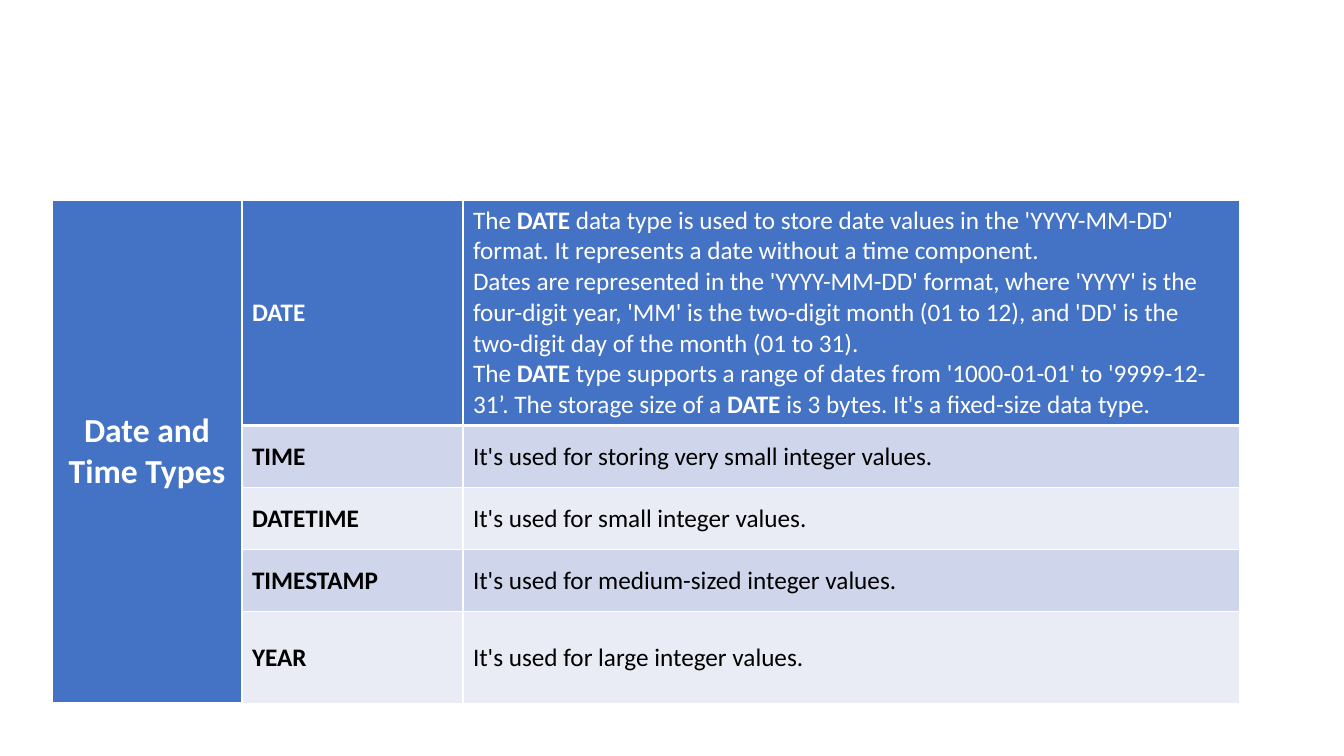
from lxml import etree
from pptx import Presentation, util as u
from pptx.dml.color import RGBColor
from pptx.enum import text
from pptx.oxml.ns import qn

BLUE, BAND, PALE = "4472C4", "CFD5EA", "E9EBF5"
WHITE, BLACK = "FFFFFF", "000000"

COLUMNS = [190, 221, 777]
ROWS = [224, 62, 62, 62, 91]

# Each paragraph is split at "|": every second piece is bold.
DATE_TEXT = [
    "The |DATE| data type is used to store date values in the 'YYYY-MM-DD' format. "
    "It represents a date without a time component.",
    "Dates are represented in the 'YYYY-MM-DD' format, where 'YYYY' is the four-digit year, "
    "'MM' is the two-digit month (01 to 12), and 'DD' is the two-digit day of the month (01 to 31).",
    "The |DATE| type supports a range of dates from '1000-01-01' to '9999-12-31’. "
    "The storage size of a |DATE| is 3 bytes. It's a fixed-size data type.",
]
TYPES = [
    ("DATE", DATE_TEXT),
    ("TIME", ["It's used for storing very small integer values."]),
    ("DATETIME", ["It's used for small integer values."]),
    ("TIMESTAMP", ["It's used for medium-sized integer values."]),
    ("YEAR", ["It's used for large integer values."]),
]


def px(n):
    return u.Emu(round(n * 914400 / 100.8))


def rgb(value):
    return RGBColor.from_string(value)


class Deck:
    font = "Calibri"

    def __init__(self):
        self.prs = Presentation()
        self.prs.slide_width, self.prs.slide_height = px(1344), px(756)
        self.slide = self.prs.slides.add_slide(self.prs.slide_layouts[6])

    def table(self, left, top, columns, rows):
        frame = self.slide.shapes.add_table(
            len(rows), len(columns), px(left), px(top), px(sum(columns)), px(sum(rows)))
        for column, width in zip(frame.table.columns, columns):
            column.width = px(width)
        for row, height in zip(frame.table.rows, rows):
            row.height = px(height)
        return frame.table

    def borders(self, cell, bottom):
        """Draw white edges, 1 pt except for the bottom one."""
        tc_pr = cell._tc.get_or_add_tcPr()
        for side, width in (("L", 1), ("R", 1), ("T", 1), ("B", bottom)):
            ln = etree.SubElement(tc_pr, qn(f"a:ln{side}"), w=str(u.Pt(width)))
            fill = etree.SubElement(ln, qn("a:solidFill"))
            etree.SubElement(fill, qn("a:srgbClr"), val=WHITE)

    def cell(self, cell, paragraphs, fill, color, size=18, align=None, bottom=1):
        self.borders(cell, bottom)
        cell.fill.solid()
        cell.fill.fore_color.rgb = rgb(fill)
        cell.vertical_anchor = text.MSO_ANCHOR.MIDDLE
        tf = cell.text_frame
        for i, paragraph in enumerate(paragraphs):
            p = tf.add_paragraph() if i else tf.paragraphs[0]
            p.alignment = align
            p.font.name, p.font.size = self.font, u.Pt(size)
            p.font.color.rgb = rgb(color)
            for j, piece in enumerate(paragraph.split("|")):
                if piece:
                    r = p.add_run()
                    r.text = piece
                    r.font.name, r.font.size = self.font, u.Pt(size)
                    r.font.color.rgb = rgb(color)
                    r.font.bold = j % 2 == 1


def main():
    deck = Deck()
    table = deck.table(52, 200, COLUMNS, ROWS)
    table.cell(0, 0).merge(table.cell(len(ROWS) - 1, 0))
    deck.cell(table.cell(0, 0), ["|Date and Time Types"], BLUE, WHITE, 24,
              text.PP_ALIGN.CENTER, bottom=3)
    for i, (name, description) in enumerate(TYPES):
        if i == 0:
            fill, color, bottom = BLUE, WHITE, 3
        else:
            fill, color, bottom = (BAND if i % 2 else PALE), BLACK, 1
        deck.cell(table.cell(i, 1), ["|" + name], fill, color, bottom=bottom)
        deck.cell(table.cell(i, 2), description, fill, color, bottom=bottom)
    deck.prs.save("out.pptx")


if __name__ == "__main__":
    main()
